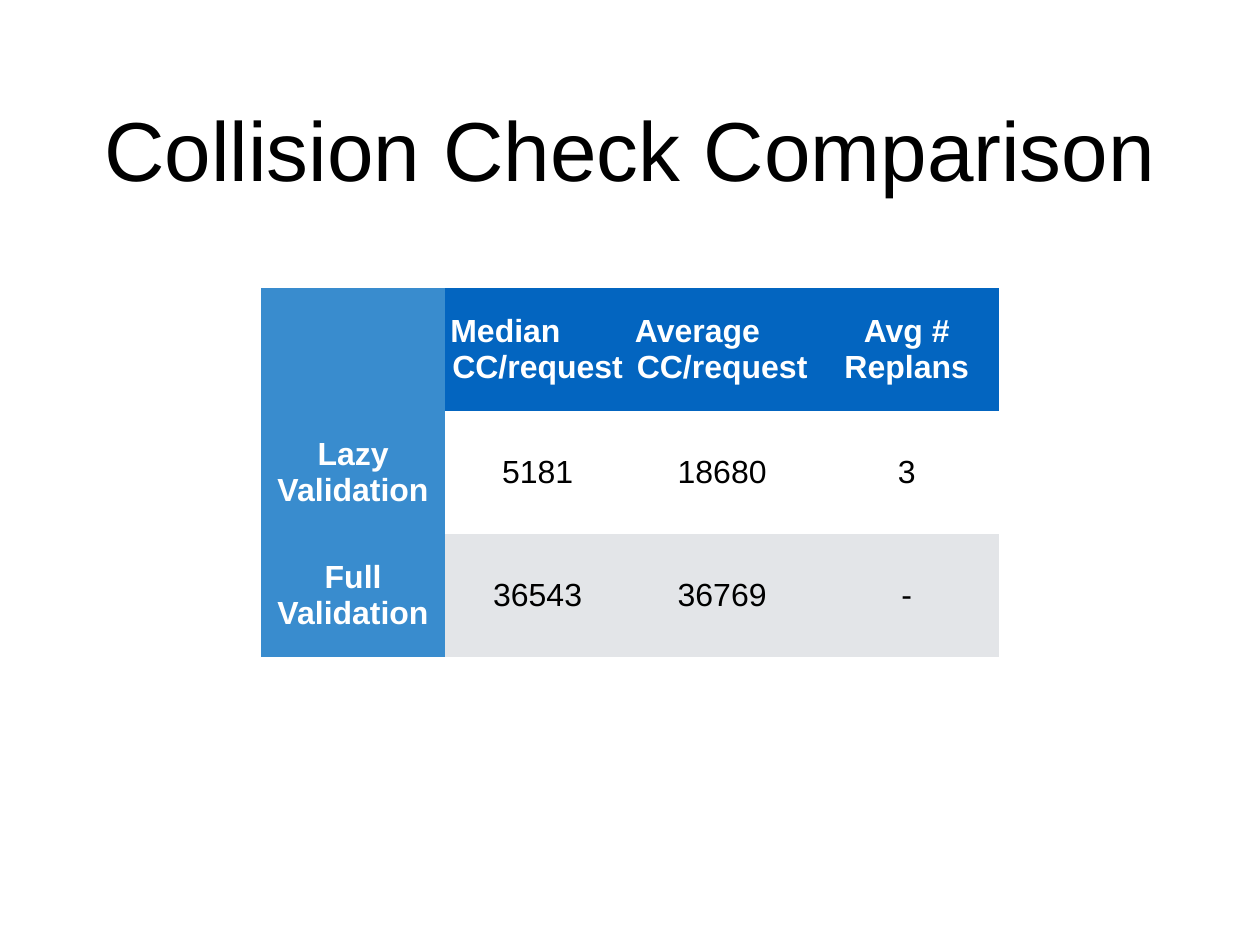
"""Build the collision check comparison slide."""
from typing import NamedTuple

from pptx import Presentation
from pptx.dml.color import RGBColor
from pptx.enum.text import MSO_ANCHOR, PP_ALIGN
from pptx.oxml.ns import qn
from pptx.util import Pt

MIDDLE = MSO_ANCHOR.MIDDLE
CENTER, LEFT = PP_ALIGN.CENTER, PP_ALIGN.LEFT

BLACK = RGBColor(0x00, 0x00, 0x00)
WHITE = RGBColor(0xFF, 0xFF, 0xFF)
HEADER_BLUE = RGBColor(0x03, 0x65, 0xC0)
LABEL_BLUE = RGBColor(0x39, 0x8C, 0xCE)
BAND_GRAY = RGBColor(0xE3, 0xE5, 0xE8)

FONT = "Arial"
NO_STYLE_NO_GRID = "{2D5ABB26-0587-4C30-8999-92F81FD0307C}"
SLIDE_WIDTH, SLIDE_HEIGHT = 1024, 768
COLUMN_WIDTH, ROW_HEIGHT, TABLE_TOP = 150, 100, 234
CELL_INSET = 4


class CellStyle(NamedTuple):
    fill: RGBColor
    color: RGBColor
    bold: bool


HEADER = CellStyle(HEADER_BLUE, WHITE, True)
LABEL = CellStyle(LABEL_BLUE, WHITE, True)
PLAIN = CellStyle(WHITE, BLACK, False)
BANDED = CellStyle(BAND_GRAY, BLACK, False)


class ComparisonRow(NamedTuple):
    texts: tuple[str, ...]
    style: CellStyle


ROWS = (
    ComparisonRow(("", "Median\nCC/request", "Average\nCC/request", "Avg # Replans"), HEADER),
    ComparisonRow(("Lazy Validation", "5181", "18680", "3"), PLAIN),
    ComparisonRow(("Full Validation", "36543", "36769", "-"), BANDED),
)


def set_margins(target, inset: float) -> None:
    target.margin_left = target.margin_right = Pt(inset)
    target.margin_top = target.margin_bottom = Pt(inset)


def format_text(frame, size: float, color: RGBColor, bold: bool) -> None:
    for paragraph in frame.paragraphs:
        paragraph.alignment = CENTER
        for run in paragraph.runs:
            run.font.name = FONT
            run.font.size = Pt(size)
            run.font.bold = bold
            run.font.color.rgb = color


def add_title(slide, title: str) -> None:
    frame = slide.shapes.add_textbox(Pt(75), Pt(35), Pt(874), Pt(170)).text_frame
    frame.word_wrap = True
    frame.vertical_anchor = MIDDLE
    set_margins(frame, 0)
    frame.text = title
    format_text(frame, 68, BLACK, False)


def fill_cell(cell, text: str, style: CellStyle) -> None:
    cell.fill.solid()
    cell.fill.fore_color.rgb = style.fill
    cell.vertical_anchor = MIDDLE
    set_margins(cell, CELL_INSET)
    cell.text_frame.text = text
    format_text(cell.text_frame, 26, style.color, style.bold)
    if "\n" in text:
        cell.text_frame.paragraphs[0].alignment = LEFT


def add_comparison(slide, rows: tuple[ComparisonRow, ...]) -> None:
    column_count = len(rows[0].texts)
    width = column_count * COLUMN_WIDTH
    table = slide.shapes.add_table(
        len(rows), column_count, Pt((SLIDE_WIDTH - width) / 2), Pt(TABLE_TOP),
        Pt(width), Pt(len(rows) * ROW_HEIGHT),
    ).table
    table._tbl.tblPr.find(qn("a:tableStyleId")).text = NO_STYLE_NO_GRID
    table.horz_banding = False
    table.first_col = True
    for row_index, row in enumerate(rows):
        for column_index, text in enumerate(row.texts):
            style = row.style if column_index else LABEL
            fill_cell(table.cell(row_index, column_index), text, style)


def main() -> None:
    presentation = Presentation()
    presentation.slide_width = Pt(SLIDE_WIDTH)
    presentation.slide_height = Pt(SLIDE_HEIGHT)
    slide = presentation.slides.add_slide(presentation.slide_layouts[6])
    add_title(slide, "Collision Check Comparison")
    add_comparison(slide, ROWS)
    presentation.save("out.pptx")


main()
